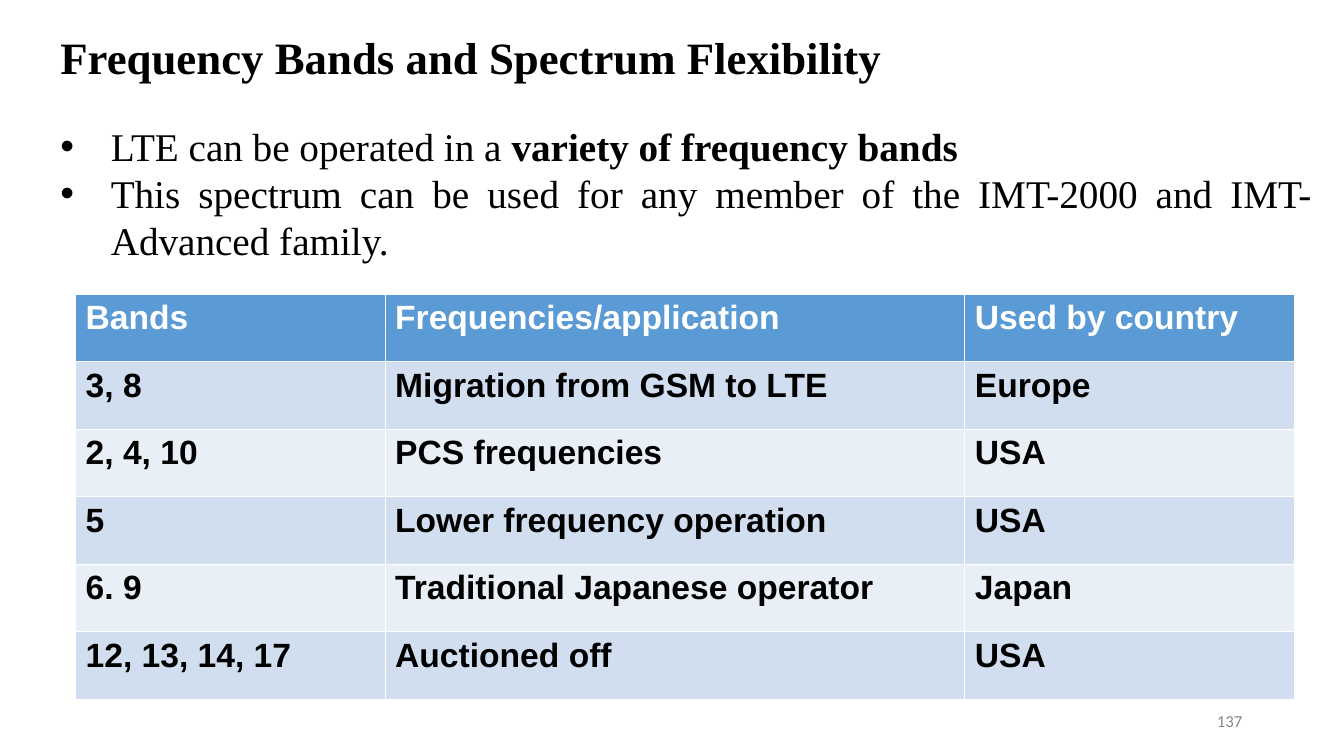
from lxml.etree import SubElement as Sub
from pptx import Presentation
from pptx.dml.color import RGBColor
from pptx.enum.text import MSO_ANCHOR as Anchor, PP_ALIGN as Align
from pptx.oxml.ns import qn
from pptx.util import Inches, Pt

TITLE = "Frequency Bands and Spectrum Flexibility"
POINTS = [
    [("LTE can be operated in a ", False), ("variety of frequency bands", True)],
    [("This spectrum can be used for any member of the IMT-2000 "
      "and IMT-Advanced family.", False)],
]
BANDS = [
    ("Bands", "Frequencies/application", "Used by country"),
    ("3, 8", "Migration from GSM to LTE", "Europe"),
    ("2, 4, 10", "PCS frequencies", "USA"),
    ("5", "Lower frequency operation", "USA"),
    ("6. 9", "Traditional Japanese operator", "Japan"),
    ("12, 13, 14, 17", "Auctioned off", "USA"),
]
PAGE = "137"
COLS = (3.07, 5.75, 3.27)
ROW = 0.67

BLACK = RGBColor(0, 0, 0)
WHITE = RGBColor(255, 255, 255)
GREY = RGBColor(0x88, 0x88, 0x88)
BLUE = RGBColor(0x5B, 0x9B, 0xD5)
TINTS = (RGBColor(0xE9, 0xEF, 0xF7), RGBColor(0xD0, 0xDE, 0xEF))


def style(run, face, size, color, bold=False):
    font = run.font
    font.name, font.size, font.bold = face, Pt(size), bold
    font.color.rgb = color


def add_box(slide, left, top, width, height):
    box = slide.shapes.add_textbox(*map(Inches, (left, top, width, height)))
    box.text_frame.word_wrap = True
    return box.text_frame


def add_bullet(para):
    props = para._p.get_or_add_pPr()
    props.set("marL", str(Inches(0.5)))
    props.set("indent", str(-Inches(0.5)))
    Sub(props, qn("a:buFont")).set("typeface", "Arial")
    Sub(props, qn("a:buChar")).set("char", "•")


def add_text(slide):
    frame = add_box(slide, 0.5, 0.25, 12.61, 2.93)
    head = frame.paragraphs[0]
    head.text = TITLE
    style(head.runs[0], "Times New Roman", 32, BLACK, True)
    for i, parts in enumerate(POINTS):
        para = frame.add_paragraph()
        add_bullet(para)
        para.alignment = Align.JUSTIFY
        para.space_before = Pt(0 if i else 27.6)
        for text, bold in parts:
            run = para.add_run()
            run.text = text
            style(run, "Times New Roman", 28, BLACK, bold)


def add_bands(slide):
    size = (0.75, 2.92, sum(COLS), ROW * len(BANDS))
    table = slide.shapes.add_table(len(BANDS), len(COLS), *map(Inches, size)).table
    for col, width in zip(table.columns, COLS):
        col.width = Inches(width)
    for r, row in enumerate(BANDS):
        table.rows[r].height = Inches(ROW)
        for c, text in enumerate(row):
            cell = table.cell(r, c)
            cell.text_frame.text = text
            cell.fill.solid()
            cell.fill.fore_color.rgb = TINTS[r % 2] if r else BLUE
            run = cell.text_frame.paragraphs[0].runs[0]
            style(run, "Arial", 24, BLACK if r else WHITE, True)


def add_page(slide):
    frame = add_box(slide, 9.42, 6.95, 3, 0.4)
    frame.text = PAGE
    frame.vertical_anchor = Anchor.MIDDLE
    para = frame.paragraphs[0]
    para.alignment = Align.RIGHT
    style(para.runs[0], "Calibri", 12, GREY)


def main():
    """Build the LTE frequency bands slide."""
    deck = Presentation()
    deck.slide_width, deck.slide_height = Inches(13.33), Inches(7.5)
    slide = deck.slides.add_slide(deck.slide_layouts[6])
    add_page(slide)
    add_text(slide)
    add_bands(slide)
    deck.save("out.pptx")


if __name__ == "__main__":
    main()
